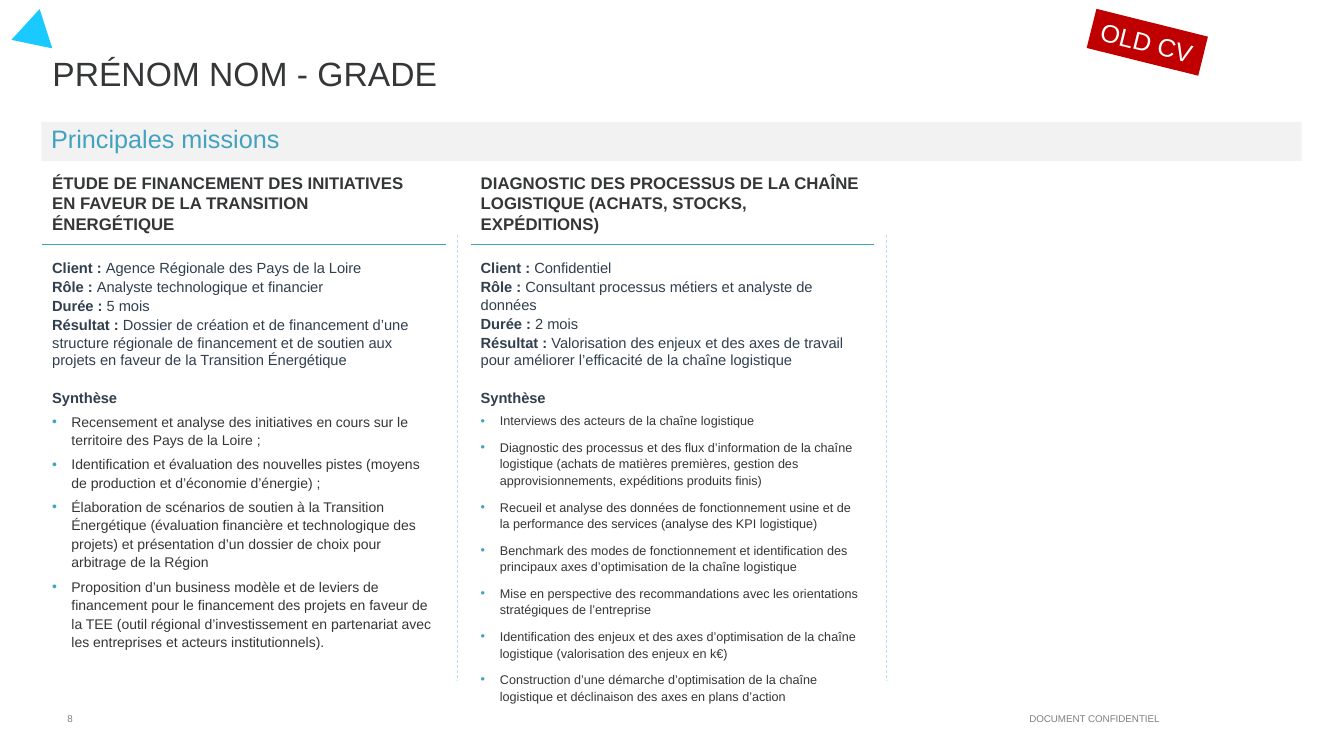
import pptx
import pptx.util
import pptx.dml.color
import pptx.enum.dml
import pptx.enum.shapes
import pptx.enum.text
import pptx.oxml.ns
import lxml.etree

Inches, Pt = pptx.util.Inches, pptx.util.Pt
RGB = pptx.dml.color.RGBColor.from_string
SHAPES = pptx.enum.shapes.MSO_SHAPE
ANCHOR = pptx.enum.text.MSO_ANCHOR
ALIGN = pptx.enum.text.PP_ALIGN
qn = pptx.oxml.ns.qn

COLORS = {
    "text": "353637", "details": "313F4F", "accent": "43A2BF", "divider": "B5E1EF",
    "band": "F2F2F2", "stamp": "C00000", "white": "FFFFFF", "footer": "808080", "triangle": "1AC9FF",
}

MISSIONS = [
    {
        "left": 0.42,
        "heading": "ÉTUDE DE FINANCEMENT DES INITIATIVES \vEN FAVEUR DE LA TRANSITION ÉNERGÉTIQUE",
        "details": [
            ("Client : ", "Agence Régionale des Pays de la Loire"),
            ("Rôle : ", "Analyste technologique et financier"),
            ("Durée : ", "5 mois"),
            ("Résultat : ", "Dossier de création et de financement d’une structure régionale de "
             "financement et de soutien aux projets en faveur de la Transition Énergétique"),
        ],
        "bullet_size": 10,
        "bullet_after": 1,
        "bullets": [
            "Recensement et analyse des initiatives en cours sur le territoire des Pays de la Loire ;",
            "Identification et évaluation des nouvelles pistes (moyens de production et d’économie d’énergie) ;",
            "Élaboration de scénarios de soutien à la Transition Énergétique (évaluation financière et "
            "technologique des projets) et présentation d’un dossier de choix pour arbitrage de la Région",
            "Proposition d’un business modèle et de leviers de financement pour le financement des projets "
            "en faveur de la TEE (outil régional d’investissement en partenariat avec les entreprises et "
            "acteurs institutionnels).",
        ],
    },
    {
        "left": 4.67,
        "heading": "DIAGNOSTIC DES PROCESSUS DE LA CHAÎNE LOGISTIQUE (ACHATS, STOCKS, EXPÉDITIONS)",
        "details": [
            ("Client : ", "Confidentiel"),
            ("Rôle : ", "Consultant processus métiers et analyste de données"),
            ("Durée : ", "2 mois"),
            ("Résultat : ", "Valorisation des enjeux et des axes de travail pour améliorer l’efficacité "
             "de la chaîne logistique"),
        ],
        "bullet_size": 9,
        "bullet_after": 4,
        "bullets": [
            "Interviews des acteurs de la chaîne logistique",
            "Diagnostic des processus et des flux d’information de la chaîne logistique (achats de matières "
            "premières, gestion des approvisionnements, expéditions produits finis)",
            "Recueil et analyse des données de fonctionnement usine et de la performance des services "
            "(analyse des KPI logistique)",
            "Benchmark des modes de fonctionnement et identification des principaux axes d’optimisation "
            "de la chaîne logistique",
            "Mise en perspective des recommandations avec les orientations stratégiques de l’entreprise",
            "Identification des enjeux et des axes d’optimisation de la chaîne logistique "
            "(valorisation des enjeux en k€)",
            "Construction d’une démarche d’optimisation de la chaîne logistique et déclinaison des axes "
            "en plans d’action",
        ],
    },
]
COLUMN_WIDTH = 4


def add_text(paragraph, text, size, color, bold=False):
    """Append a formatted run, turning vertical tabs into line breaks."""
    for number, line in enumerate(text.split("\v")):
        if number:
            paragraph.add_line_break()
        run = paragraph.add_run()
        run.text = line
        run.font.name = "Arial"
        run.font.size = Pt(size)
        run.font.bold = bold
        run.font.color.rgb = RGB(COLORS[color])


def add_plain_shape(kind, left, top, width, height, color, rotation=0):
    """Add a filled shape without line or shadow."""
    shape = slide.shapes.add_shape(kind, Inches(left), Inches(top), Inches(width), Inches(height))
    shape.shadow.inherit = False
    shape.fill.solid()
    shape.fill.fore_color.rgb = RGB(COLORS[color])
    shape.line.fill.background()
    shape.rotation = rotation
    return shape


prs = pptx.Presentation()
prs.slide_width, prs.slide_height = Inches(13.33), Inches(7.5)
slide = prs.slides.add_slide(prs.slide_layouts[5])

title = slide.shapes.title
title.left, title.top, title.width, title.height = Inches(0.42), Inches(0.53), Inches(12.5), Inches(0.39)
title.text_frame.auto_size = pptx.enum.text.MSO_AUTO_SIZE.NONE
title.text_frame.vertical_anchor = ANCHOR.MIDDLE
title.text_frame.paragraphs[0].alignment = ALIGN.LEFT
add_text(title.text_frame.paragraphs[0], "PRÉNOM NOM - GRADE", 24, "text")

add_plain_shape(SHAPES.ISOSCELES_TRIANGLE, 0.08, 0.16, 0.41, 0.36, "triangle", 252.2)

# Footer
for text, left, width, alignment, wrap in [
    ("DOCUMENT CONFIDENTIEL", 10.1, 1.51, ALIGN.CENTER, False),
    ("8", 0.42, 0.4, ALIGN.RIGHT, True),
]:
    footer = slide.shapes.add_textbox(Inches(left), Inches(6.93), Inches(width), Inches(0.4)).text_frame
    footer.word_wrap = wrap
    footer.vertical_anchor = ANCHOR.MIDDLE
    footer.paragraphs[0].alignment = alignment
    add_text(footer.paragraphs[0], text, 7, "footer")

# Section band
band = add_plain_shape(SHAPES.RECTANGLE, 0.41, 1.21, 12.5, 0.39, "band")
band.text_frame.vertical_anchor = ANCHOR.TOP
section = band.text_frame.paragraphs[0]
section.alignment = ALIGN.LEFT
section.line_spacing = 0.9
add_text(section, "Principales missions", 18, "accent")

# Mission columns
for mission in MISSIONS:
    left = Inches(mission["left"])
    heading = slide.shapes.add_textbox(left, Inches(1.69), Inches(COLUMN_WIDTH), Inches(0.65)).text_frame
    heading.word_wrap = True
    heading.vertical_anchor = ANCHOR.MIDDLE
    add_text(heading.paragraphs[0], mission["heading"], 12, "text", True)

    body = slide.shapes.add_textbox(left, Inches(2.52), Inches(COLUMN_WIDTH), Inches(4.24)).text_frame
    body.word_wrap = True
    for number, (label, value) in enumerate(mission["details"]):
        detail = body.add_paragraph() if number else body.paragraphs[0]
        detail.space_after = Pt(1)
        add_text(detail, label, 10.5, "details", True)
        add_text(detail, value, 10.5, "details")

    summary = body.add_paragraph()
    summary.space_before = Pt(13)
    summary.space_after = Pt(1)
    add_text(summary, "Synthèse", 10.5, "details", True)

    for text in mission["bullets"]:
        bullet = body.add_paragraph()
        properties = bullet._p.get_or_add_pPr()
        properties.set("marL", str(Inches(0.19)))
        properties.set("indent", str(-Inches(0.19)))
        bullet_color = lxml.etree.SubElement(properties, qn("a:buClr"))
        lxml.etree.SubElement(bullet_color, qn("a:srgbClr"), val=COLORS["accent"])
        lxml.etree.SubElement(properties, qn("a:buFont"), typeface="Arial")
        lxml.etree.SubElement(properties, qn("a:buChar"), char="•")
        bullet.line_spacing = 1.1
        bullet.space_before = Pt(3)
        bullet.space_after = Pt(mission["bullet_after"])
        add_text(bullet, text, mission["bullet_size"], "text")

# Heading rules and dashed column dividers
for mission in MISSIONS:
    left = mission["left"]
    right = left + COLUMN_WIDTH
    divider = right + 0.12
    for x1, y1, x2, y2, color, dashed in [
        (left, 2.42, right, 2.42, "accent", False),
        (divider, 2.33, divider, 6.76, "divider", True),
    ]:
        rule = slide.shapes.add_connector(
            pptx.enum.shapes.MSO_CONNECTOR.STRAIGHT, Inches(x1), Inches(y1), Inches(x2), Inches(y2))
        rule.line.color.rgb = RGB(COLORS[color])
        rule.line.width = Pt(0.5)
        if dashed:
            rule.line.dash_style = pptx.enum.dml.MSO_LINE.DASH
        lxml.etree.SubElement(rule._element.spPr, qn("a:effectLst"))

# Stamp
stamp = add_plain_shape(SHAPES.RECTANGLE, 10.81, 0.22, 1.14, 0.4, "stamp", 14)
stamp.text_frame.word_wrap = False
stamp.text_frame.auto_size = pptx.enum.text.MSO_AUTO_SIZE.SHAPE_TO_FIT_TEXT
stamp.text_frame.paragraphs[0].alignment = ALIGN.LEFT
add_text(stamp.text_frame.paragraphs[0], "OLD CV", 18, "white")

prs.save("out.pptx")
